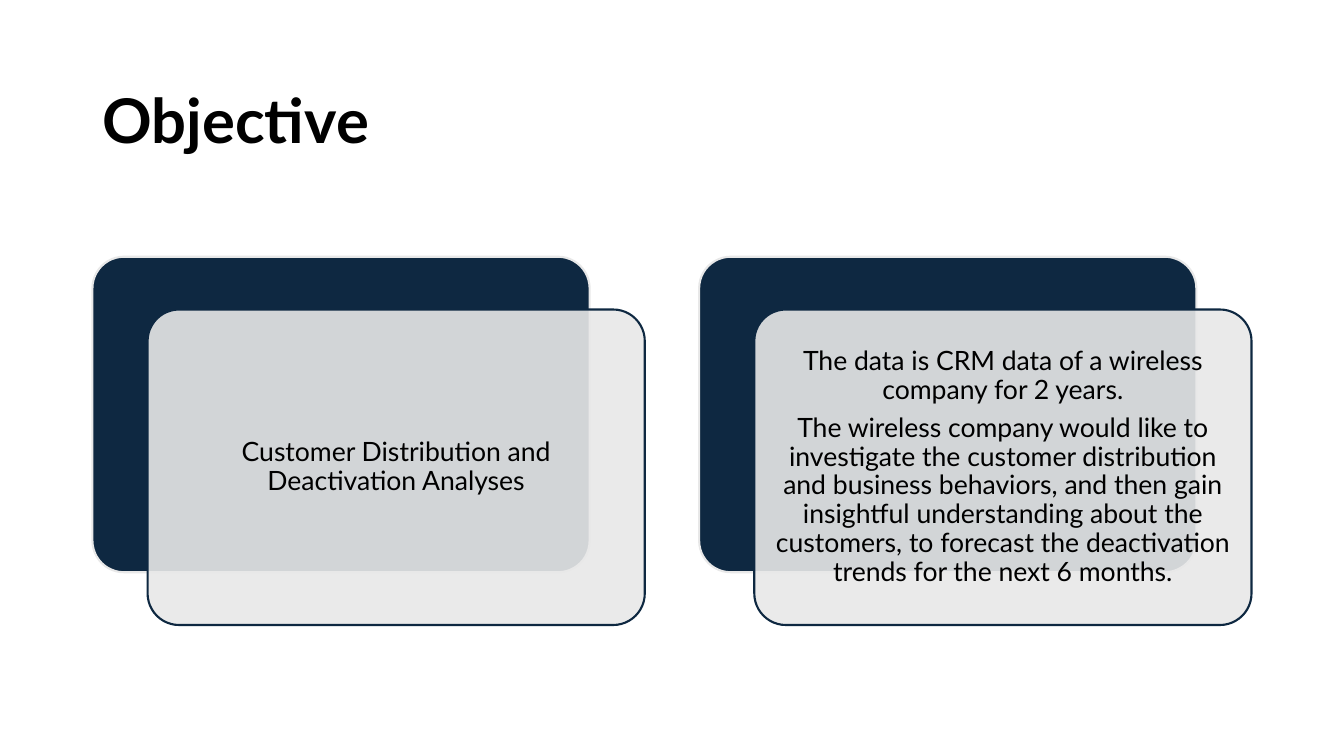
import pptx
import pptx.dml.color
import pptx.enum.shapes
import pptx.enum.text
import pptx.oxml
import pptx.oxml.ns
import pptx.util

Cm = pptx.util.Cm
Pt = pptx.util.Pt
RGBColor = pptx.dml.color.RGBColor

NAVY = RGBColor(0x0E, 0x28, 0x41)
PALE_GRAY = RGBColor(0xE8, 0xE8, 0xE8)
BLACK = RGBColor(0x00, 0x00, 0x00)
FONT_NAME = "Lato"

OBJECTIVES = [
    ["Customer Distribution and Deactivation Analyses"],
    [
        "The data is CRM data of a wireless company for 2 years.",
        "The wireless company would like to investigate the customer "
        "distribution and business behaviors, and then gain insightful "
        "understanding about the customers, to forecast the deactivation "
        "trends for the next 6 months.",
    ],
]


def format_paragraph(paragraph, size, alignment, bold=False):
    paragraph.alignment = alignment
    paragraph.line_spacing = 0.9
    paragraph.font.name = FONT_NAME
    paragraph.font.size = Pt(size)
    paragraph.font.bold = bold
    paragraph.font.color.rgb = BLACK


def place_heading(slide, left, top, width, height):
    heading = slide.shapes.title
    heading.left, heading.top = left, top
    heading.width, heading.height = width, height
    heading.text_frame.text = "Objective"
    heading.text_frame.vertical_anchor = pptx.enum.text.MSO_ANCHOR.MIDDLE
    format_paragraph(
        heading.text_frame.paragraphs[0], 44, pptx.enum.text.PP_ALIGN.LEFT, True
    )


def add_panel(slide, left, top, width, height, fill, outline):
    panel = slide.shapes.add_shape(
        pptx.enum.shapes.MSO_SHAPE.ROUNDED_RECTANGLE, left, top, width, height
    )
    panel.adjustments[0] = 0.1
    panel.shadow.inherit = False
    panel.fill.solid()
    panel.fill.fore_color.rgb = fill
    panel.line.color.rgb = outline
    panel.line.width = Pt(1.5)
    return panel


def set_opacity(panel, percent):
    fill_color = panel.fill._xPr.find(
        pptx.oxml.ns.qn("a:solidFill") + "/" + pptx.oxml.ns.qn("a:srgbClr")
    )
    alpha = pptx.oxml.parse_xml(
        f'<a:alpha {pptx.oxml.ns.nsdecls("a")} val="{percent * 1000}"/>'
    )
    fill_color.append(alpha)


def add_objective_card(slide, left, top, width, height, statements):
    shift_x, shift_y = Cm(1.39), Cm(1.33)
    panel_width, panel_height = width - shift_x, height - shift_y
    add_panel(slide, left, top, panel_width, panel_height, NAVY, PALE_GRAY)
    front = add_panel(
        slide, left + shift_x, top + shift_y, panel_width, panel_height, PALE_GRAY, NAVY
    )
    set_opacity(front, 90)

    frame = front.text_frame
    frame.word_wrap = True
    frame.vertical_anchor = pptx.enum.text.MSO_ANCHOR.MIDDLE
    frame.margin_left = frame.margin_right = Cm(0.2)
    frame.margin_top = frame.margin_bottom = Cm(0.2)
    frame.text = "\n".join(statements)
    for paragraph in frame.paragraphs:
        format_paragraph(paragraph, 19, pptx.enum.text.PP_ALIGN.CENTER)
        paragraph.space_after = Pt(6.65)


def add_objective_slide(presentation):
    slide = presentation.slides.add_slide(presentation.slide_layouts[5])
    left, width = Cm(2.33), Cm(29.21)
    place_heading(slide, left, Cm(1.54), width, Cm(3.16))
    card_width = Cm(13.92)
    pitch = (width - card_width) // (len(OBJECTIVES) - 1)
    for column, statements in enumerate(OBJECTIVES):
        add_objective_card(
            slide, left + column * pitch, Cm(6.47), card_width, Cm(9.28), statements
        )


def main():
    presentation = pptx.Presentation()
    presentation.slide_width = Cm(33.87)
    presentation.slide_height = Cm(19.05)
    add_objective_slide(presentation)
    presentation.save("out.pptx")


if __name__ == "__main__":
    main()
